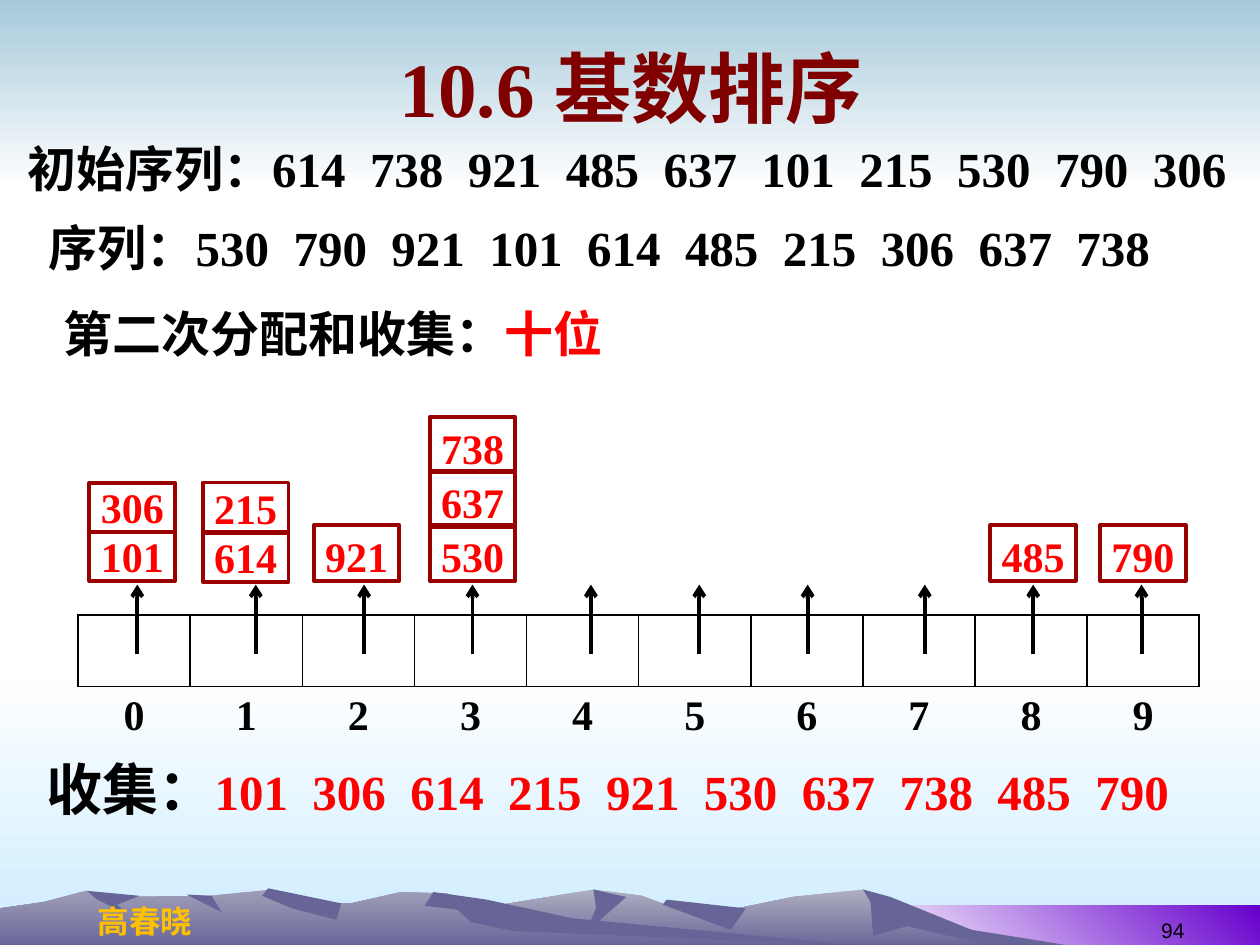
"""Build the radix sort slide: second distribution and collection by the tens digit."""
from dataclasses import dataclass

from lxml import etree
from pptx import Presentation
from pptx.dml.color import RGBColor
from pptx.enum.shapes import MSO_CONNECTOR, MSO_SHAPE
from pptx.enum.text import MSO_ANCHOR, PP_ALIGN
from pptx.oxml.ns import qn
from pptx.util import Pt

PX = 9144
LEFT, CENTER, RIGHT = PP_ALIGN.LEFT, PP_ALIGN.CENTER, PP_ALIGN.RIGHT
TOP, MIDDLE, BOTTOM = MSO_ANCHOR.TOP, MSO_ANCHOR.MIDDLE, MSO_ANCHOR.BOTTOM
RECTANGLE, STRAIGHT = MSO_SHAPE.RECTANGLE, MSO_CONNECTOR.STRAIGHT


@dataclass(frozen=True)
class Theme:
    serif: str = "Times New Roman"
    sans: str = "Arial"
    chinese: str = "Noto Sans CJK SC"
    ink: str = "000000"
    accent: str = "FF0000"
    title: str = "800000"
    author: str = "FFC000"
    box_line: str = "990000"
    white: str = "FFFFFF"
    sky: str = "A6C9DA"
    mist: str = "CCECFF"
    violet: str = "6600CC"
    ridge: str = "676597"
    far_ridge: str = "AEAEC2"
    near_ridge: str = "9F9EB8"
    title_size: int = 44
    collect_size: int = 32
    body_size: int = 28
    key_size: int = 24
    author_size: int = 18
    number_size: int = 12
    line_width: float = 2.25


THEME = Theme()


@dataclass(frozen=True)
class Run:
    text: str
    color: str = THEME.ink
    size: int = THEME.body_size


@dataclass(frozen=True)
class Label:
    left: int
    top: int
    width: int
    height: int
    runs: tuple[Run, ...]
    font: str = THEME.serif
    bold: bool = True
    align: PP_ALIGN = LEFT
    anchor: MSO_ANCHOR = TOP
    wrap: bool = True
    hanging: int = 0
    line_spacing: float = 1.0
    space_before: float = 0


@dataclass(frozen=True)
class Band:
    left: int
    top: int
    width: int
    height: int
    colors: tuple[str, str]
    angle: int = 270


@dataclass(frozen=True)
class Ridge:
    points: tuple[tuple[int, int], ...]
    colors: tuple[str, ...] = (THEME.ridge,)


@dataclass(frozen=True)
class KeyStack:
    keys: tuple[str, ...]
    left: int
    top: int = 417
    height: int = 44
    step: int = 43


BANDS = (
    Band(0, 533, 1000, 217, (THEME.white, THEME.mist)),
    Band(0, 0, 1000, 150, (THEME.sky, THEME.white)),
    Band(683, 719, 317, 33, (THEME.white, THEME.violet), 45),
)
RIDGES = (
    Ridge(((258, 752), (327, 731), (405, 717), (471, 706), (509, 711), (536, 721), (566, 725), (629, 712),
           (685, 706), (723, 725), (821, 752)), (THEME.far_ridge, THEME.ridge)),
    Ridge(((685, 706), (691, 716), (693, 743), (720, 735), (792, 752), (858, 752), (771, 738), (707, 712))),
    Ridge(((471, 706), (473, 721), (465, 740), (497, 712))),
    Ridge(((529, 714), (526, 718), (580, 738), (592, 721))),
    Ridge(((0, 752), (0, 721), (35, 716), (68, 707), (94, 712), (168, 711), (215, 706), (236, 717), (279, 717),
           (318, 708), (354, 709), (432, 732), (690, 752)), (THEME.near_ridge, THEME.ridge)),
    Ridge(((213, 705), (208, 711), (232, 721), (267, 730), (271, 717))),
    Ridge(((344, 708), (337, 719), (363, 722), (374, 732), (407, 739), (690, 751), (455, 729), (386, 714))),
    Ridge(((148, 710), (168, 711), (176, 724))),
    Ridge(((69, 707), (77, 714), (100, 725), (93, 718), (111, 711))),
)
LABELS = (
    Label(67, 711, 96, 40, (Run("高春晓", THEME.author, THEME.author_size),), THEME.chinese, align=CENTER, wrap=False),
    Label(717, 703, 233, 50, (Run("94", size=THEME.number_size),), THEME.sans, False, RIGHT, BOTTOM),
    Label(51, 13, 900, 112, (Run("10.6 基数排序", THEME.title, THEME.title_size),), align=CENTER, anchor=MIDDLE),
    Label(12, 110, 988, 53, (Run("初始序列：614  738  921  485  637  101  215  530  790  306"),),
          hanging=40, line_spacing=0.9, space_before=5.6),
    Label(27, 594, 952, 63, (Run("收集：", size=THEME.collect_size),
                             Run("101  306  614  215  921  530  637  738  485  790", THEME.accent))),
    Label(41, 236, 724, 57, (Run("第二次分配和收集："), Run("十位", THEME.accent)), space_before=14),
    Label(29, 173, 938, 52, (Run("序列：530  790  921  101  614  485  215  306  637  738"),),
          hanging=40, line_spacing=0.9, space_before=5.6),
)
KEY_STACKS = (
    KeyStack(("101", "306"), 71, 422, 39, 39),
    KeyStack(("614", "215"), 161, 422, 40, 39),
    KeyStack(("921",), 249),
    KeyStack(("530", "637", "738"), 341),
    KeyStack(("485",), 786),
    KeyStack(("790",), 873),
)
ARROW_CENTERS = (109, 203, 289, 375, 469, 555, 641, 734, 820, 906)


def rgb(color: str) -> RGBColor:
    return RGBColor.from_string(color)


def paint(shape, colors: tuple[str, ...], angle: int = 270) -> None:
    shape.shadow.inherit = False
    shape.line.fill.background()
    if len(colors) == 1:
        shape.fill.solid()
        shape.fill.fore_color.rgb = rgb(colors[0])
        return
    shape.fill.gradient()
    shape.fill.gradient_angle = angle
    for stop, color in zip(shape.fill.gradient_stops, colors):
        stop.color.rgb = rgb(color)


def style_font(font, name: str, size: int, color: str, bold: bool = True) -> None:
    font.name, font.size, font.bold = name, Pt(size), bold
    font.color.rgb = rgb(color)


def draw_band(slide, band: Band) -> None:
    box = (band.left, band.top, band.width, band.height)
    paint(slide.shapes.add_shape(RECTANGLE, *(value * PX for value in box)), band.colors, band.angle)


def draw_ridge(slide, ridge: Ridge) -> None:
    builder = slide.shapes.build_freeform(*ridge.points[0], scale=PX)
    builder.add_line_segments(ridge.points[1:], close=True)
    paint(builder.convert_to_shape(), ridge.colors)


def draw_label(slide, label: Label) -> None:
    box = (label.left, label.top, label.width, label.height)
    frame = slide.shapes.add_textbox(*(value * PX for value in box)).text_frame
    frame.word_wrap, frame.vertical_anchor = label.wrap, label.anchor
    paragraph = frame.paragraphs[0]
    paragraph.alignment, paragraph.line_spacing = label.align, label.line_spacing
    paragraph.space_before = Pt(label.space_before)
    if label.hanging:
        properties = paragraph._p.get_or_add_pPr()
        properties.set("marL", str(label.hanging * PX))
        properties.set("indent", str(-label.hanging * PX))
    style_font(paragraph.font, label.font, label.runs[0].size, label.runs[0].color, label.bold)
    for part in label.runs:
        run = paragraph.add_run()
        run.text = part.text
        if part != label.runs[0]:
            run.font.size = Pt(part.size)
            run.font.color.rgb = rgb(part.color)


def set_borders(cell, visible: str) -> None:
    properties = cell._tc.get_or_add_tcPr()
    for position, side in enumerate("LRTB"):
        line = etree.Element(qn(f"a:ln{side}"), w=str(Pt(1)))
        if side in visible:
            fill = etree.SubElement(line, qn("a:solidFill"))
            etree.SubElement(fill, qn("a:srgbClr"), val=THEME.ink)
        else:
            etree.SubElement(line, qn("a:noFill"))
        properties.insert(position, line)


def draw_buckets(slide) -> None:
    count = len(ARROW_CENTERS)
    table = slide.shapes.add_table(2, count, 62 * PX, 488 * PX, 89 * count * PX, 98 * PX).table
    table.first_row = table.horz_banding = False
    table.rows[0].height, table.rows[1].height = 57 * PX, 41 * PX
    for digit in range(count):
        for row, visible in enumerate(("LRTB", "T")):
            cell = table.cell(row, digit)
            cell.fill.background()
            set_borders(cell, visible)
        cell.text = str(digit)
        paragraph = cell.text_frame.paragraphs[0]
        paragraph.alignment = CENTER
        style_font(paragraph.font, THEME.serif, THEME.key_size, THEME.ink)


def draw_key_stack(slide, stack: KeyStack) -> None:
    for level, key in enumerate(stack.keys):
        top = stack.top - level * stack.step
        shape = slide.shapes.add_shape(RECTANGLE, stack.left * PX, top * PX, 68 * PX, stack.height * PX)
        shape.shadow.inherit = False
        shape.fill.background()
        shape.line.color.rgb, shape.line.width = rgb(THEME.box_line), Pt(THEME.line_width)
        frame = shape.text_frame
        frame.margin_left = frame.margin_top = frame.margin_right = frame.margin_bottom = 0
        frame.word_wrap, frame.vertical_anchor = False, BOTTOM
        paragraph = frame.paragraphs[0]
        paragraph.text, paragraph.alignment = key, CENTER
        style_font(paragraph.font, THEME.serif, THEME.key_size, THEME.accent)


def draw_arrow(slide, center: int) -> None:
    connector = slide.shapes.add_connector(STRAIGHT, center * PX, 519 * PX, center * PX, 464 * PX)
    connector.line.color.rgb, connector.line.width = rgb(THEME.ink), Pt(THEME.line_width)
    etree.SubElement(connector.line._get_or_add_ln(), qn("a:tailEnd"), type="arrow")
    etree.SubElement(connector._element.spPr, qn("a:effectLst"))


def draw_all(slide, draw, items: tuple) -> None:
    for item in items:
        draw(slide, item)


def main() -> None:
    presentation = Presentation()
    presentation.slide_width, presentation.slide_height = 1000 * PX, 750 * PX
    slide = presentation.slides.add_slide(presentation.slide_layouts[6])
    draw_all(slide, draw_band, BANDS)
    draw_all(slide, draw_ridge, RIDGES)
    draw_all(slide, draw_label, LABELS)
    draw_buckets(slide)
    draw_all(slide, draw_key_stack, KEY_STACKS)
    draw_all(slide, draw_arrow, ARROW_CENTERS)
    presentation.save("out.pptx")


if __name__ == "__main__":
    main()
